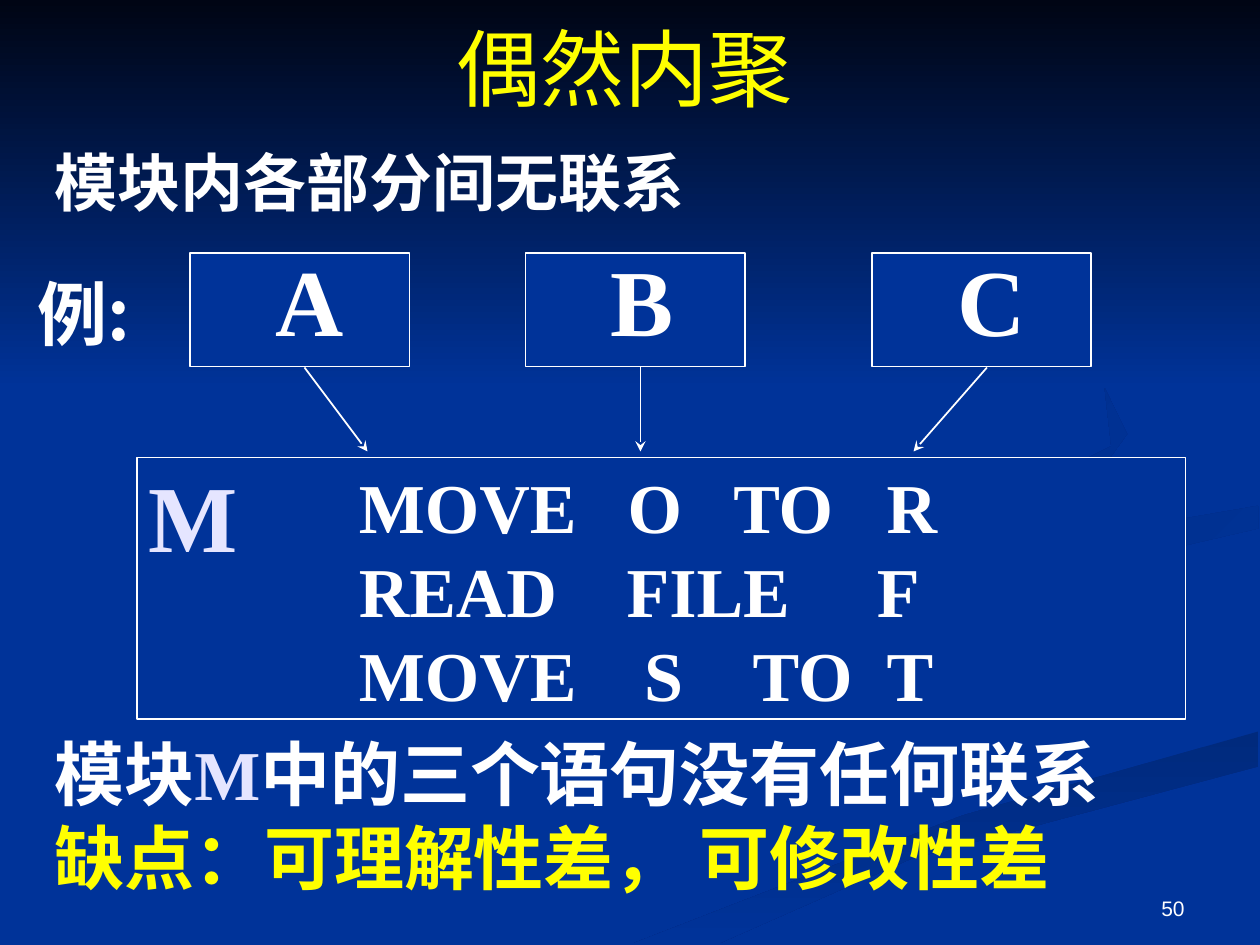
from lxml.etree import SubElement
from pptx import Presentation
from pptx.dml.color import RGBColor
from pptx.enum.shapes import MSO_CONNECTOR as Connector, MSO_SHAPE as Shape
from pptx.enum.text import MSO_ANCHOR as Anchor, PP_ALIGN as Align
from pptx.oxml.ns import qn
from pptx.util import Pt

BLUE, WHITE, YELLOW, LILAC = "003399", "FFFFFF", "FFFF00", "E5E5FF"
HEI, ROMAN = "Noto Sans CJK SC", "Times New Roman"


def color(code):
    return RGBColor.from_string(code)


def add_text(bounds, paragraphs, wrap=True, anchor=Anchor.TOP, align=Align.LEFT, bold=True):
    """Each paragraph is (tab stops, [(text, size, font, colour), ...])."""
    box = page.shapes.add_textbox(*map(Pt, bounds))
    frame = box.text_frame
    frame.word_wrap = wrap
    frame.vertical_anchor = anchor
    for index, (stops, spans) in enumerate(paragraphs):
        para = frame.paragraphs[0] if index == 0 else frame.add_paragraph()
        para.alignment = align
        if stops:
            tabs = SubElement(para._p.get_or_add_pPr(), qn("a:tabLst"))
            for stop in stops:
                SubElement(tabs, qn("a:tab"), pos=str(Pt(stop)), algn="l")
        for text, size, font, code in spans:
            span = para.add_run()
            span.text = text
            style = {"size": Pt(size), "bold": bold, "name": font}
            for name, value in style.items():
                setattr(span.font, name, value)
            span.font.color.rgb = color(code)
            SubElement(span._r.get_or_add_rPr(), qn("a:ea"), typeface=font)


deck = Presentation()
deck.slide_width, deck.slide_height = Pt(720), Pt(540)
page = deck.slides.add_slide(deck.slide_layouts[6])
page.background.fill.solid()
page.background.fill.fore_color.rgb = color(BLUE)

# Background ribbons and sky: start colour, end colour, gradient angle, outline
backdrop = [
    ("002A7D", BLUE, 270, [
        (362, 539), (411, 539), (520, 491), (719, 438), (719, 418), (550, 466)]),
    ("002D86", BLUE, 315, [
        (562, 331), (595, 357), (585, 333), (719, 302), (719, 289), (591, 311)]),
    ("002B82", BLUE, 315, [
        (492, 310), (624, 276), (644, 248), (628, 215), (549, 168), (631, 220),
        (635, 255), (589, 278), (436, 312), (416, 333), (448, 360), (433, 328)]),
    ("000514", BLUE, 270, [(0, 0), (720, 0), (720, 222), (0, 222)]),
]
for start, end, angle, outline in backdrop:
    builder = page.shapes.build_freeform(*outline[0], scale=Pt(1))
    builder.add_line_segments(outline[1:], close=True)
    ribbon = builder.convert_to_shape()
    ribbon.shadow.inherit = False
    ribbon.line.fill.background()
    ribbon.fill.gradient()
    ribbon.fill.gradient_angle = angle
    for stop, code in zip(ribbon.fill.gradient_stops, (start, end)):
        stop.color.rgb = color(code)

add_text((516, 492, 168, 37.5), [((), [("50", 12, "Arial", WHITE)])],
         anchor=Anchor.BOTTOM, align=Align.RIGHT, bold=False)
add_text((0, 4.5, 714, 67.5), [((), [("偶然内聚", 48, HEI, YELLOW)])],
         anchor=Anchor.MIDDLE, align=Align.CENTER, bold=False)
add_text((24, 78.5, 640, 60), [((), [("模块内各部分间无联系", 36, HEI, WHITE)])])

# Callers A, B, C and the shared module M
callers = {"A": 108.7, "B": 300.3, "C": 498.3}
frames = [(left, 144.7, 125.3, 64.8) for left in callers.values()]
frames.append((78.5, 261.5, 599, 149.5))
for bounds in frames:
    frame_box = page.shapes.add_shape(Shape.RECTANGLE, *map(Pt, bounds))
    frame_box.shadow.inherit = False
    frame_box.fill.solid()
    frame_box.fill.fore_color.rgb = color(BLUE)
    frame_box.line.color.rgb = color(WHITE)
    frame_box.line.width = Pt(1)
for letter, left in callers.items():
    add_text((left + 41.5, 134.6, 53, 72), [((), [(letter, 54, ROMAN, WHITE)])], wrap=False)

for start_x, end_x in [(174, 210), (366, 366), (564, 522)]:
    arrow = page.shapes.add_connector(
        Connector.STRAIGHT, Pt(start_x), Pt(210), Pt(end_x), Pt(258))
    arrow.line.color.rgb = color(WHITE)
    arrow.line.width = Pt(1)
    properties = arrow._element.spPr
    SubElement(properties.find(qn("a:ln")), qn("a:tailEnd"), type="stealth")
    SubElement(properties, qn("a:effectLst"))

add_text((78, 258, 65.5, 72), [((), [("M", 54, ROMAN, LILAC)])], wrap=False)
statements = [
    ("MOVE\tO\tTO\tR", (153.5, 214, 301.5)),
    ("READ\tFILE\tF", (153, 296)),
    ("MOVE\tS\tTO\tT", (163, 225, 301.5)),
]
add_text((198, 261.5, 439, 151),
         [(stops, [(text, 40, ROMAN, WHITE)]) for text, stops in statements])

add_text((24, 414, 696, 103), [
    ((), [("模块", 40, HEI, WHITE), ("M", 40, ROMAN, LILAC),
          ("中的三个语句没有任何联系", 40, HEI, WHITE)]),
    ((), [("缺点：可理解性差， 可修改性差", 40, HEI, YELLOW)]),
])
add_text((14.5, 151, 90, 55.5), [((), [("例:", 40, HEI, WHITE)])])

deck.save("out.pptx")
